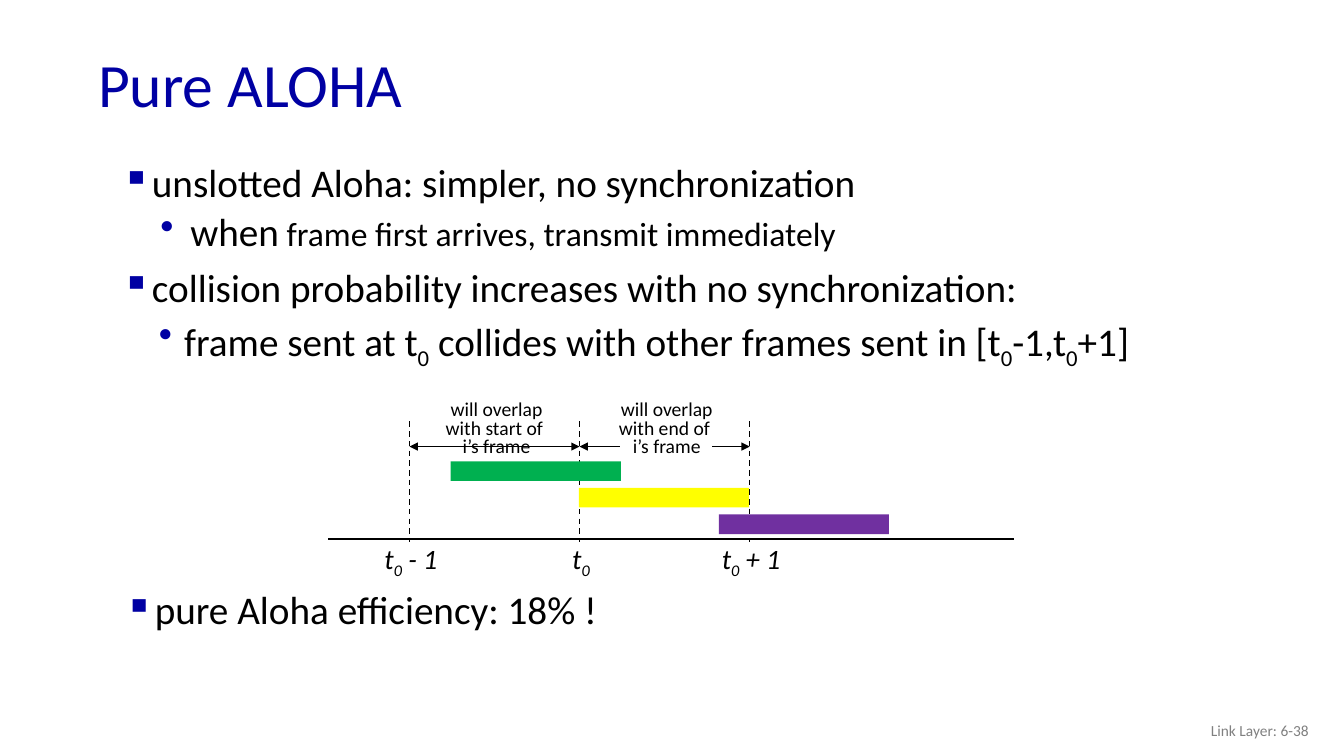
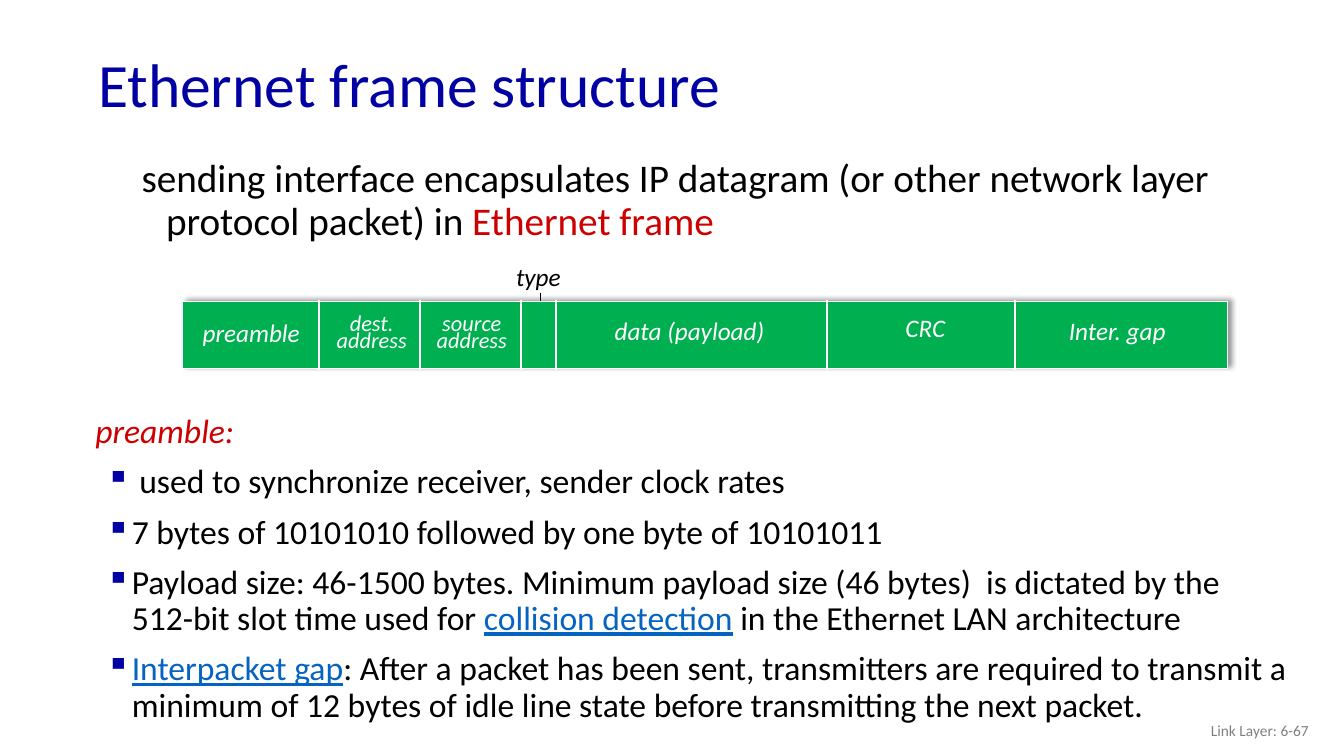
"""Builds two lecture slides on pure ALOHA and the Ethernet frame."""
import pptx
import pptx.dml.color
import pptx.enum.dml
import pptx.enum.shapes
import pptx.enum.text
import pptx.oxml.ns
import pptx.oxml.xmlchemy
import pptx.util
from lxml import etree

Pt = pptx.util.Pt
qn = pptx.oxml.ns.qn
ALIGN = pptx.enum.text.PP_ALIGN
ANCHOR = pptx.enum.text.MSO_ANCHOR
DASH = pptx.enum.dml.MSO_LINE.DASH

COLORS = {
    "navy": "0000A3", "black": "000000", "white": "FFFFFF", "gray": "808080",
    "red": "CC0000", "link": "0563C1", "green": "00B050", "yellow": "FFFF00",
    "purple": "7030A0",
}
SUB = {"sub": True}
LINK = {"color": "link", "underline": True}
POINT = {"bullet": "▪", "indent": (31.5, -21.5), "line": 0.9, "before": 10}
SUBPOINT = {"bullet": "•", "indent": (59, -21.5), "line": 0.9, "before": 5, "level": 1}
NOTE = {"bullet": "▪", "indent": (36.5, -18.5), "line": 0.9, "before": 10}
HANGING = {"indent": (28, -17.5), "line": 0.9, "before": 10}


def rgb(name):
    return pptx.dml.color.RGBColor.from_string(COLORS[name])


class Deck:
    """Holds the shared style and the current slide."""

    font = "Calibri"

    def __init__(self):
        self.presentation = pptx.Presentation()
        self.presentation.slide_width = Pt(960)
        self.presentation.slide_height = Pt(540)
        self.slide = None

    def new_slide(self, title, page):
        layout = self.presentation.slide_layouts[6]
        self.slide = self.presentation.slides.add_slide(layout)
        heading = self.text(63, 27, 828, 70.5, anchor=ANCHOR.MIDDLE)
        self.paragraph(heading, title, size=44, color="navy", line=0.9)
        footer = self.text(726, 507.5, 216, 29, anchor=ANCHOR.MIDDLE)
        self.paragraph(footer, f"Link Layer: 6-{page}", size=11, color="gray",
                       align=ALIGN.RIGHT)

    def text(self, left, top, width, height, anchor=ANCHOR.TOP):
        box = self.slide.shapes.add_textbox(Pt(left), Pt(top), Pt(width), Pt(height))
        frame = box.text_frame
        frame.word_wrap = True
        frame.vertical_anchor = anchor
        return frame

    def paragraph(self, frame, content, align=ALIGN.LEFT, line=None, before=0,
                  indent=None, bullet=None, level=0, **style):
        first = frame.paragraphs[0]
        paragraph = frame.add_paragraph() if first.runs else first
        paragraph.alignment = align
        paragraph.level = level
        paragraph.space_before = Pt(before)
        if line:
            paragraph.line_spacing = line
        properties = paragraph._p.get_or_add_pPr()
        if indent:
            for name, length in zip(("marL", "indent"), indent):
                properties.set(name, str(int(Pt(length))))
        if bullet:
            color = etree.SubElement(properties, qn("a:buClr"))
            etree.SubElement(color, qn("a:srgbClr"), val=COLORS["navy"])
            etree.SubElement(properties, qn("a:buChar"), char=bullet)
        if isinstance(content, str):
            paragraph.text = content
            self.format(paragraph.runs[0], **style)
            return
        for part in content:
            words, changes = (part, {}) if isinstance(part, str) else part
            run = paragraph.add_run()
            run.text = words
            self.format(run, **{**style, **changes})

    def format(self, run, size=28, color="black", italic=False, underline=False,
               sub=False):
        run.font.name = self.font
        run.font.size = Pt(size)
        run.font.italic = italic
        run.font.underline = underline
        run.font.color.rgb = rgb(color)
        if sub:
            run.font._element.set("baseline", "-25000")

    def label(self, lines, center, top, width, height, **style):
        frame = self.text(center - width / 2, top, width, height)
        for content in lines:
            self.paragraph(frame, content, align=ALIGN.CENTER, **style)

    def bar(self, left, top, width, height, fill, outline=None):
        bar = self.slide.shapes.add_shape(
            pptx.enum.shapes.MSO_SHAPE.RECTANGLE,
            Pt(left), Pt(top), Pt(width), Pt(height))
        bar.shadow.inherit = False
        bar.fill.solid()
        bar.fill.fore_color.rgb = rgb(fill)
        if outline:
            bar.line.color.rgb = rgb(outline)
            bar.line.width = Pt(0.75)
        else:
            bar.line.fill.background()
        return bar

    def cast_shadow(self, shape):
        effects = shape._element.spPr.find(qn("a:effectLst"))
        shadow = etree.SubElement(
            effects, qn("a:outerShdw"), blurRad=str(int(Pt(4))), dist=str(int(Pt(3))),
            dir=str(315 * 60000), algn="bl", rotWithShape="0")
        color = etree.SubElement(shadow, qn("a:srgbClr"), val=COLORS["black"])
        etree.SubElement(color, qn("a:alpha"), val="40000")

    def line(self, x1, y1, x2, y2, color="black", width=1, dash=None, arrows=False):
        line = self.slide.shapes.add_connector(
            pptx.enum.shapes.MSO_CONNECTOR.STRAIGHT, Pt(x1), Pt(y1), Pt(x2), Pt(y2))
        line.line.color.rgb = rgb(color)
        line.line.width = Pt(width)
        if dash:
            line.line.dash_style = dash
        properties = line._element.spPr
        if arrows:
            stroke = properties.find(qn("a:ln"))
            for end in ("a:headEnd", "a:tailEnd"):
                etree.SubElement(stroke, qn(end), type="triangle")
        etree.SubElement(properties, qn("a:effectLst"))


def pure_aloha(deck):
    deck.new_slide("Pure ALOHA", 38)
    points = deck.text(70, 113, 828, 182)
    deck.paragraph(points, "unslotted Aloha: simpler, no synchronization", **POINT)
    deck.paragraph(points, ["when", (" frame first arrives, transmit immediately",
                                     {"size": 24})], **SUBPOINT)
    deck.paragraph(points, "collision probability increases with no synchronization:",
                   **POINT)
    deck.paragraph(points, [
        "frame sent at t", ("0", SUB), " collides with other frames sent in [t",
        ("0", SUB), "-1,t", ("0", SUB), "+1]"],
        **{**SUBPOINT, "indent": (54.5, -18)})

    start, frame_time = 292.5, 121.5
    times = [start + i * frame_time for i in range(3)]
    for left in times[:2]:
        deck.line(left, 319, left + frame_time, 319, arrows=True)
    deck.bar(443, 316, 65.5, 4.5, "white")
    deck.line(234.5, 385, 724.5, 385)
    for time, suffix in zip(times, (" - 1", "", " + 1")):
        deck.line(time, 301, time, 387.5, dash=DASH)
        moment = ["t", ("0", SUB)] + ([suffix] if suffix else [])
        deck.label([moment], time + 1, 383, 60, 31.5, size=20, italic=True)
    for i, (left, fill) in enumerate(((322, "green"), (413.5, "yellow"),
                                      (513.5, "purple"))):
        deck.bar(left, 329.5 + 19 * i, frame_time, 14, fill)
    for left, edge in zip(times, ("start", "end")):
        deck.label(["will overlap", f"with {edge} of ", "i’s frame"],
                   left + frame_time / 2 + 1.5, 283, 100, 48, size=14, line=0.8)

    result = deck.text(72, 418.5, 828, 49)
    deck.paragraph(result, "pure Aloha efficiency: 18% !", **POINT)


def ethernet_frame(deck):
    deck.new_slide("Ethernet frame structure", 67)
    intro = deck.text(83.5, 110, 876.5, 80)
    deck.paragraph(intro, [
        "sending interface encapsulates IP datagram (or other network layer "
        "protocol packet) in ", ("Ethernet frame", {"color": "red"})], **HANGING)

    deck.line(386, 209, 386, 227, width=0.75)
    left, top, right, height = 130.5, 215.5, 877, 48
    deck.cast_shadow(deck.bar(left, top, right - left, height, "green", "white"))
    for edge in (228, 300, 372, 397, 590.5, 725):
        deck.line(edge, top - 1, edge, top + height + 1, color="white", width=1.5)
    fields = (
        (["preamble"], 179.5, 232.5, 105, 18),
        (["dest.", "address"], 265.5, 224.5, 84, 16),
        (["source", "address"], 337, 224.5, 84, 16),
        (["data (payload)"], 492.5, 231, 135, 18),
        (["CRC"], 661, 229.5, 84, 18),
        (["Inter. gap"], 798, 231, 100, 18),
    )
    for words, center, label_top, width, size in fields:
        deck.label(words, center, label_top, width, 7 + 12 * len(words), size=size,
                   color="white", italic=True, line=Pt(12))
    field_type = deck.text(361.5, 183, 75.5, 26)
    deck.paragraph(field_type, "type", size=18, italic=True)

    notes = deck.text(50.5, 292.5, 877, 240)
    deck.paragraph(notes, "preamble:", size=24, color="red", italic=True, **HANGING)
    for content in (
        " used to synchronize receiver, sender clock rates",
        "7 bytes of 10101010 followed by one byte of 10101011",
        ["Payload size: 46-1500 bytes. Minimum payload size (46 bytes)  is dictated "
         "by the 512-bit slot time used for ", ("collision detection", LINK),
         " in the Ethernet LAN architecture"],
        [("Interpacket gap", LINK),
         ": After a packet has been sent, transmitters are required to transmit a "
         "minimum of 12 bytes of idle line state before transmitting the next packet."],
    ):
        deck.paragraph(notes, content, size=24, **NOTE)


def main():
    deck = Deck()
    pure_aloha(deck)
    ethernet_frame(deck)
    deck.presentation.save("out.pptx")


if __name__ == "__main__":
    main()
